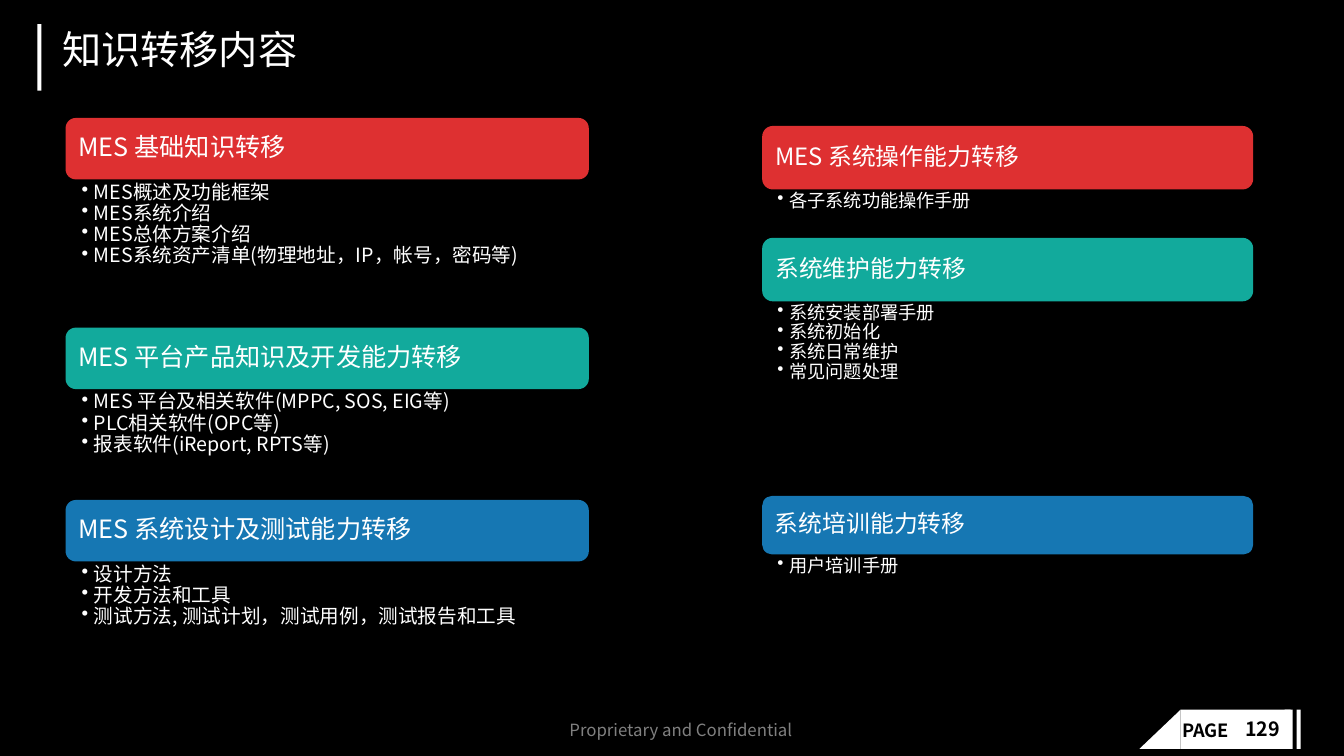
"""Build the MES knowledge transfer slide with six topic blocks in two columns."""
from dataclasses import dataclass

from lxml.etree import SubElement
from pptx import Presentation
from pptx.dml.color import RGBColor
from pptx.enum.shapes import MSO_SHAPE as Shape
from pptx.enum.text import MSO_ANCHOR as Anchor
from pptx.enum.text import PP_ALIGN as Align
from pptx.oxml.ns import qn
from pptx.shapes.autoshape import Shape as AutoShape
from pptx.slide import Slide
from pptx.text.text import TextFrame, _Paragraph as Paragraph
from pptx.util import Inches, Pt

FONT = "Noto Sans CJK SC"
BLACK = RGBColor(0x00, 0x00, 0x00)
WHITE = RGBColor(0xFF, 0xFF, 0xFF)
GRAY = RGBColor(0x80, 0x80, 0x80)
RED = RGBColor(0xDE, 0x30, 0x31)
TEAL = RGBColor(0x12, 0xAA, 0x9C)
BLUE = RGBColor(0x16, 0x77, 0xB3)
BULLET_INDENT = Inches(0.12)


@dataclass(frozen=True)
class Topic:
    top: float
    header_height: float
    body_height: float
    color: RGBColor
    heading: str
    items: tuple[str, ...]


@dataclass(frozen=True)
class Column:
    left: float
    width: float
    heading_size: int
    item_size: int
    insets: tuple[float, float, float, float]
    topics: tuple[Topic, ...]


@dataclass(frozen=True)
class Label:
    text: str
    box: tuple[float, float, float, float]
    size: int
    color: RGBColor
    bold: bool = False
    wrap: bool = False
    spacing: float = 1.0


COLUMNS = (
    Column(0.65, 5.19, 18, 14, (0.16, 0.03, 0.14, 0.03), (
        Topic(1.17, 0.61, 1.47, RED, "MES 基础知识转移", (
            "MES概述及功能框架", "MES系统介绍", "MES总体方案介绍",
            "MES系统资产清单(物理地址，IP，帐号，密码等)")),
        Topic(3.25, 0.61, 1.1, TEAL, "MES 平台产品知识及开发能力转移", (
            "MES 平台及相关软件(MPPC, SOS, EIG等)",
            "PLC相关软件(OPC等)", "报表软件(iReport, RPTS等)")),
        Topic(4.96, 0.61, 1.1, BLUE, "MES 系统设计及测试能力转移", (
            "设计方法", "开发方法和工具",
            "测试方法, 测试计划，测试用例，测试报告和工具")),
    )),
    Column(7.56, 4.87, 17, 13, (0.15, 0.02, 0.13, 0.02), (
        Topic(1.25, 0.63, 0.47, RED, "MES 系统操作能力转移",
              ("各子系统功能操作手册",)),
        Topic(2.36, 0.63, 1.93, TEAL, "系统维护能力转移", (
            "系统安装部署手册", "系统初始化", "系统日常维护", "常见问题处理")),
        Topic(4.92, 0.58, 0.47, BLUE, "系统培训能力转移", ("用户培训手册",)),
    )),
)

LABELS = (
    Label("知识转移内容", (0.52, 0.25, 12.32, 0.7), 28, WHITE,
          wrap=True, spacing=0.9),
    Label("PAGE", (11.63, 7.09, 0.73, 0.32), 13, BLACK, bold=True),
    Label("129", (12.25, 7.09, 0.58, 0.32), 14, BLACK, bold=True,
          wrap=True, spacing=0.9),
    Label("Proprietary and Confidential", (5.55, 7.09, 2.56, 0.3), 12, GRAY),
)

TITLE_BAR = (0.37, 0.24, 0.04, 0.66)
PAGE_TAG_BARS = tuple((left, 7.04, width, 0.39) for left, width in
                      ((11.71, 1.09), (12.74, 0.08), (12.86, 0.04)))
PAGE_TAG_SLOPE = (11.3, 7.04, 0.41, 0.39)


def style(paragraph: Paragraph, size: int, color: RGBColor,
          bold: bool = False, spacing: float = 0.9) -> None:
    """Set alignment, line spacing and font of a paragraph."""
    paragraph.alignment = Align.LEFT
    paragraph.line_spacing = spacing
    font = paragraph.font
    font.size, font.bold, font.name = Pt(size), bold, FONT
    font.color.rgb = color
    defaults = paragraph._p.get_or_add_pPr().find(qn("a:defRPr"))
    SubElement(defaults, qn("a:ea"), typeface=FONT)


def add_bullet(paragraph: Paragraph) -> None:
    """Give a paragraph a hanging bullet."""
    properties = paragraph._p.get_or_add_pPr()
    properties.set("marL", str(BULLET_INDENT))
    properties.set("indent", str(-BULLET_INDENT))
    SubElement(properties, qn("a:buChar"), char="•")


def add_block(slide: Slide, kind: Shape, box: tuple[float, ...],
              color: RGBColor) -> AutoShape:
    """Draw a plain filled shape."""
    block = slide.shapes.add_shape(kind, *map(Inches, box))
    block.shadow.inherit = False
    block.fill.solid()
    block.fill.fore_color.rgb = color
    block.line.fill.background()
    return block


def add_frame(slide: Slide, box: tuple[float, ...], wrap: bool) -> TextFrame:
    """Add a text box and return its frame."""
    frame = slide.shapes.add_textbox(*map(Inches, box)).text_frame
    frame.word_wrap = wrap
    return frame


def add_label(slide: Slide, label: Label) -> None:
    """Write a single line of text."""
    frame = add_frame(slide, label.box, label.wrap)
    frame.text = label.text
    style(frame.paragraphs[0], label.size, label.color, label.bold, label.spacing)


def add_topic(slide: Slide, column: Column, topic: Topic) -> None:
    """Draw a topic header with its bullet list below."""
    header = add_block(slide, Shape.ROUNDED_RECTANGLE,
                       (column.left, topic.top, column.width, topic.header_height),
                       topic.color)
    heading = header.text_frame
    heading.text = topic.heading
    heading.word_wrap = True
    heading.vertical_anchor = Anchor.MIDDLE
    style(heading.paragraphs[0], column.heading_size, WHITE)

    body = add_frame(slide, (column.left, topic.top + topic.header_height,
                             column.width, topic.body_height), True)
    (body.margin_left, body.margin_top,
     body.margin_right, body.margin_bottom) = map(Inches, column.insets)
    body.text = "\n".join(topic.items)
    for item in body.paragraphs:
        add_bullet(item)
        style(item, column.item_size, WHITE)


def main() -> None:
    """Build and save the slide."""
    deck = Presentation()
    deck.slide_width, deck.slide_height = Inches(13.33), Inches(7.5)
    slide = deck.slides.add_slide(deck.slide_layouts[6])
    slide.background.fill.solid()
    slide.background.fill.fore_color.rgb = BLACK

    for bar in (TITLE_BAR, *PAGE_TAG_BARS):
        add_block(slide, Shape.RECTANGLE, bar, WHITE)
    slope = add_block(slide, Shape.RIGHT_TRIANGLE, PAGE_TAG_SLOPE, WHITE)
    slope._element.spPr.find(qn("a:xfrm")).set("flipH", "1")
    for label in LABELS:
        add_label(slide, label)
    for column in COLUMNS:
        for topic in column.topics:
            add_topic(slide, column, topic)
    deck.save("out.pptx")


if __name__ == "__main__":
    main()
